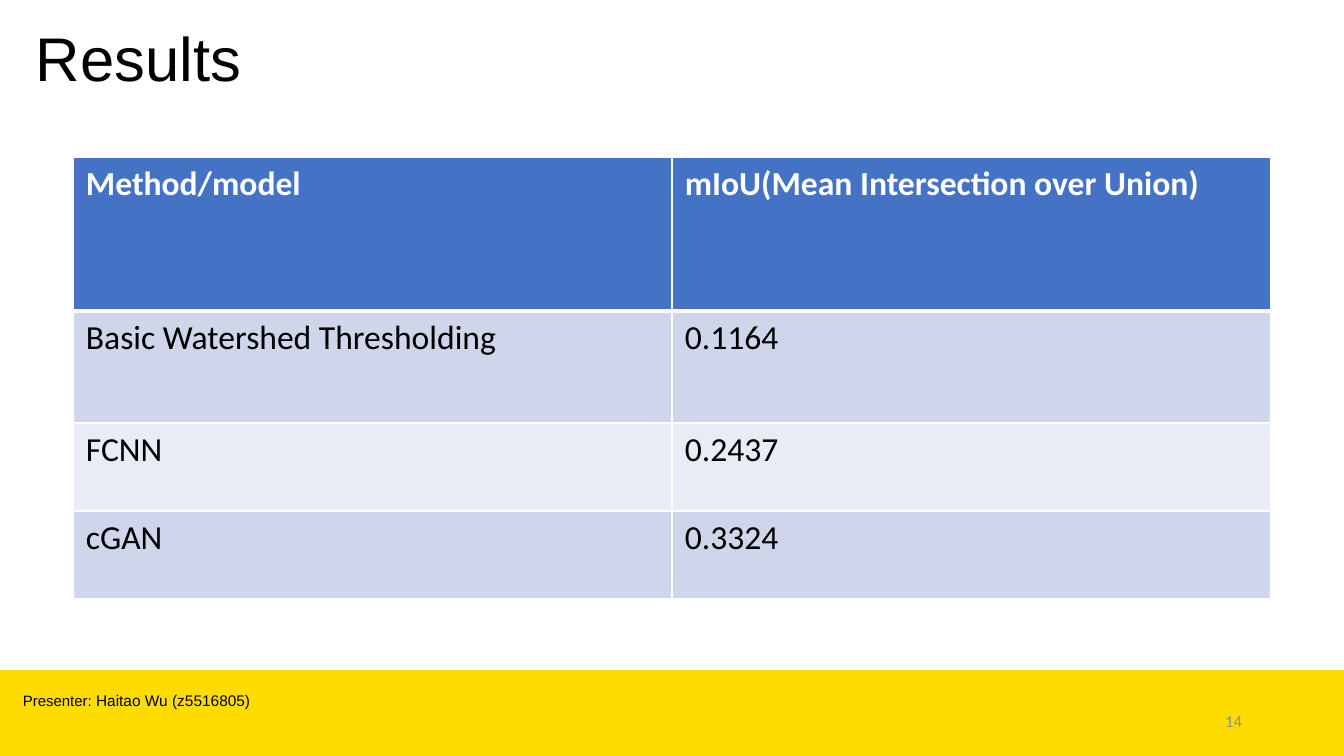
import pptx
import pptx.dml.color
import pptx.enum.shapes
import pptx.enum.text
import pptx.oxml
import pptx.oxml.ns
import pptx.util

WIDE, HIGH = 1344, 756
SCALE = 12192000 / WIDE
ALIGN = pptx.enum.text.PP_ALIGN
ANCHOR = pptx.enum.text.MSO_ANCHOR

ROWS = [
    ("Method/model", "mIoU(Mean Intersection over Union)"),
    ("Basic Watershed Thresholding", "0.1164"),
    ("FCNN", "0.2437"),
    ("cGAN", "0.3324"),
]
HEIGHTS = [154, 112, 88, 88]


def px(n):
    return pptx.util.Emu(round(n * SCALE))


def color(code):
    return pptx.dml.color.RGBColor.from_string(code)


def write(par, text, size=24, font="Calibri", fill="000000", bold=False,
          align=ALIGN.LEFT, lead=None):
    """Add one formatted run to a paragraph."""
    par.alignment = align
    if lead:
        par.line_spacing = lead
    run = par.add_run()
    run.text = text
    run.font.size = pptx.util.Pt(size)
    run.font.name = font
    run.font.bold = bold
    run.font.color.rgb = color(fill)


def label(slide, box, anchor=ANCHOR.TOP):
    """Add an empty text box and return its first paragraph."""
    frame = slide.shapes.add_textbox(*map(px, box)).text_frame
    frame.word_wrap = True
    frame.vertical_anchor = anchor
    return frame.paragraphs[0]


def border(cell, side, width):
    line = pptx.oxml.parse_xml(
        f'<a:ln{side} {pptx.oxml.ns.nsdecls("a")} w="{pptx.util.Pt(width)}">'
        '<a:solidFill><a:srgbClr val="FFFFFF"/></a:solidFill>'
        f'</a:ln{side}>')
    cell._tc.get_or_add_tcPr().append(line)


def title(slide, box):
    write(label(slide, box, ANCHOR.MIDDLE), "Results", size=44, font="Arial", lead=0.9)


def scores(slide, left, top, width):
    cols = len(ROWS[0])
    table = slide.shapes.add_table(
        len(ROWS), cols, px(left), px(top), px(width), px(sum(HEIGHTS))).table
    for col in table.columns:
        col.width = px(width / cols)
    for r, (texts, height) in enumerate(zip(ROWS, HEIGHTS)):
        table.rows[r].height = px(height)
        head = r == 0
        shade = "4472C4" if head else ("E9EBF5", "CFD5EA")[r % 2]
        for c, text in enumerate(texts):
            cell = table.cell(r, c)
            cell.margin_left = cell.margin_right = px(13)
            cell.margin_top = cell.margin_bottom = px(7)
            for side, width_pt in (("L", 1), ("R", 1), ("T", 3 if r == 1 else 1),
                                   ("B", 3 if head else 1)):
                border(cell, side, width_pt)
            cell.fill.solid()
            cell.fill.fore_color.rgb = color(shade)
            write(cell.text_frame.paragraphs[0], text, bold=head,
                  fill="FFFFFF" if head else "000000")


def footer(slide, left, top, width, height):
    band = slide.shapes.add_shape(
        pptx.enum.shapes.MSO_SHAPE.RECTANGLE, *map(px, (left, top, width, height)))
    band.shadow.inherit = False
    band.fill.solid()
    band.fill.fore_color.rgb = color("FFDC00")
    band.line.fill.background()
    page = label(slide, (left + width - 394, top + 31, 302, 40), ANCHOR.MIDDLE)
    write(page, "14", size=12, fill="8C8C8C", align=ALIGN.RIGHT)
    name = label(slide, (left + 13, top + 16, 807, 29))
    write(name, "Presenter: ", size=10.7, font="Arial")
    write(name, "Haitao Wu (z5516805)", size=11, font="Arial")


def main():
    deck = pptx.Presentation()
    deck.slide_width, deck.slide_height = px(WIDE), px(HIGH)
    slide = deck.slides.add_slide(deck.slide_layouts[6])
    footer(slide, 0, 670, WIDE, HIGH - 670)
    title(slide, (26, 15, 1282, 93))
    scores(slide, 73, 157, 1198)
    deck.save("out.pptx")


if __name__ == "__main__":
    main()
